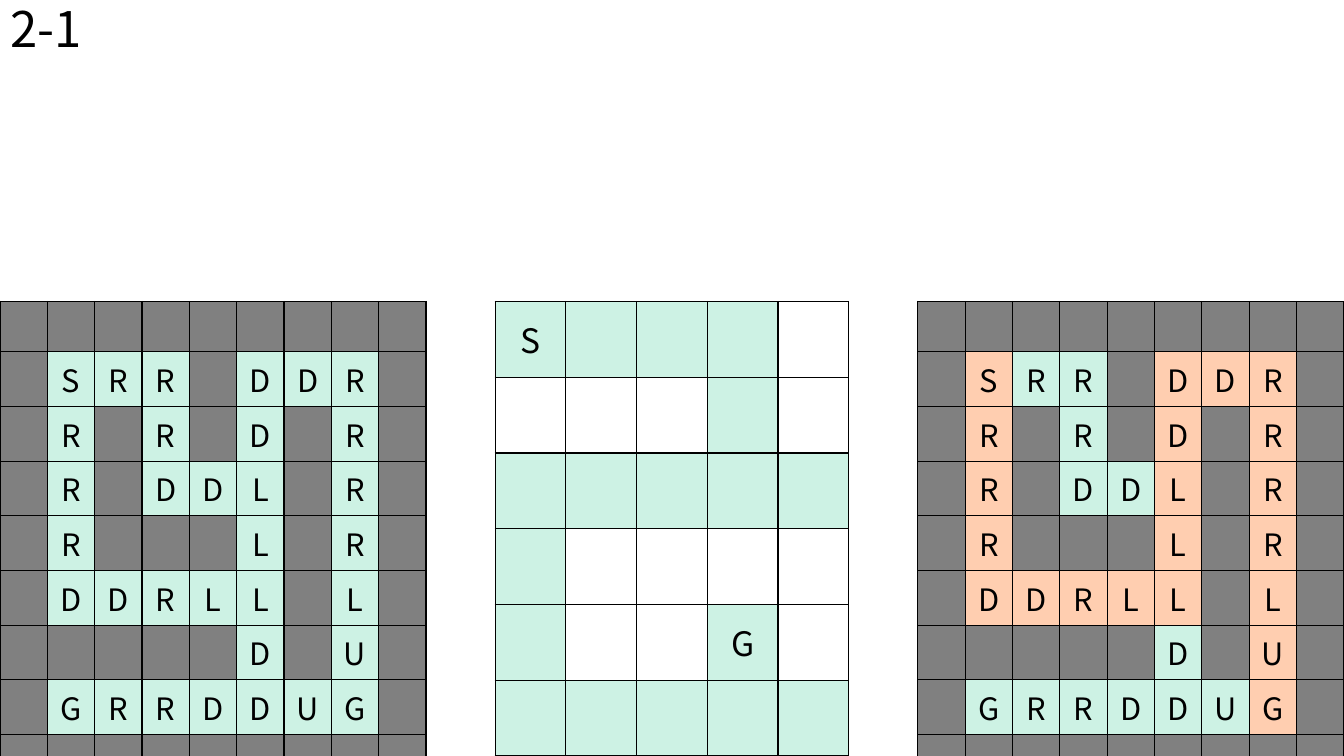
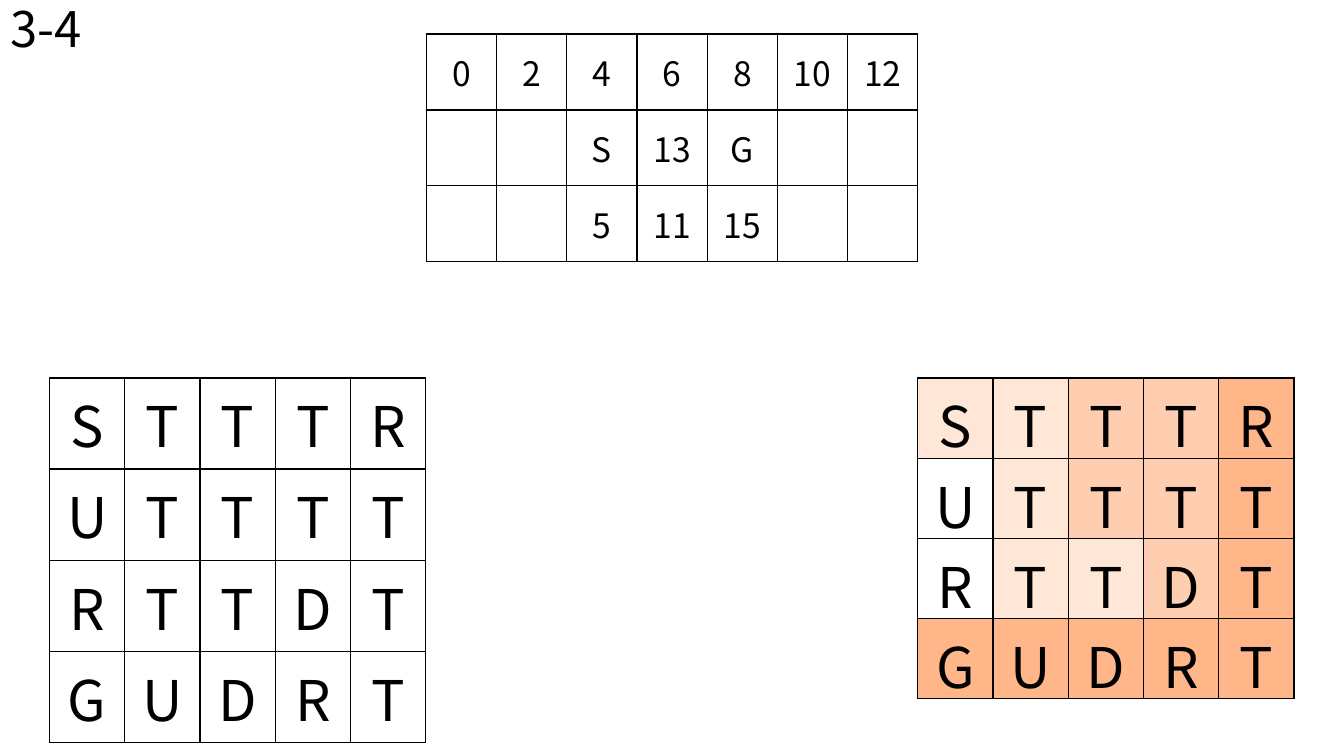
from dataclasses import dataclass, field

from pptx import Presentation
from pptx.dml.color import RGBColor
from pptx.enum import text
from pptx.oxml import parse_xml
from pptx.oxml.ns import nsdecls
from pptx.util import Pt


@dataclass
class Theme:
    font: str = "Noto Sans CJK KR"
    ink: str = "000000"
    title_size: int = 35
    maze_size: int = 22
    map_size: int = 24
    board_size: int = 40
    border: int = 1
    tones: dict = field(default_factory=lambda: {
        "#": "808080", "m": "CDF2E4", "w": "FFFFFF",
        "1": "FFE7D8", "2": "FFCEB0", "3": "FFB689"})


THEME = Theme()
MIDDLE = text.MSO_ANCHOR.MIDDLE
TOP = text.MSO_ANCHOR.TOP
RIGHT_TABLE = 655.6

MAZE = [
    ". . . . . . . . .",
    ". S R R . D D R .",
    ". R . R . D . R .",
    ". R . D D L . R .",
    ". R . . . L . R .",
    ". D D R L L . L .",
    ". . . . . D . U .",
    ". G R R D D U G .",
    ". . . . . . . . .",
]
MAZE_TONES = ["".join("#" if mark == "." else "m" for mark in row.split())
              for row in MAZE]
ROUTE_TONES = [
    "#########",
    "#2mm#222#",
    "#2#m#2#2#",
    "#2#mm2#2#",
    "#2###2#2#",
    "#22222#2#",
    "#####m#2#",
    "#mmmmmm2#",
    "#########",
]
MAP = [
    "S . . . .",
    ". . . . .",
    ". . . . .",
    ". . . . .",
    ". . . G .",
    ". . . . .",
]
MAP_TONES = ["mmmmw", "wwwmw", "mmmmm", "mwwww", "mwwmw", "mmmmm"]
STEPS = [
    "0 2 4 6 8 10 12",
    ". . S 13 G . .",
    ". . 5 11 15 . .",
]
BOARD = ["S T T T R", "U T T T T", "R T T D T", "G U D R T"]
BOARD_TONES = ["11223", "-1223", "-1123", "33333"]

MAZE_STYLE = dict(top=215.3, width=304.4, height=324.7,
                  size=THEME.maze_size, anchor=TOP)
BOARD_STYLE = dict(top=270, width=268.8, height=229,
                   size=THEME.board_size, anchor=TOP)
MAP_STYLE = dict(size=THEME.map_size, anchor=MIDDLE)

PAGES = [
    ("2-1", [
        dict(rows=MAP, tones=MAP_TONES, left=353.7, top=215.3,
             width=252.6, height=324.7, **MAP_STYLE),
        dict(rows=MAZE, tones=MAZE_TONES, left=0, **MAZE_STYLE),
        dict(rows=MAZE, tones=ROUTE_TONES, left=RIGHT_TABLE, **MAZE_STYLE),
    ]),
    ("3-4", [
        dict(rows=STEPS, left=304.6, top=24.3,
             width=351.2, height=162.7, **MAP_STYLE),
        dict(rows=BOARD, left=35.4, **BOARD_STYLE),
        dict(rows=BOARD, tones=BOARD_TONES, left=RIGHT_TABLE,
             bottom_margin=-4.5, **BOARD_STYLE),
    ]),
]


def style_text(para, size, align):
    para.alignment = align
    for span in para.runs:
        span.font.name = THEME.font
        span.font.size = Pt(size)
        span.font.bold = False
        span.font.color.rgb = RGBColor.from_string(THEME.ink)


def add_borders(cell):
    properties = cell._tc.get_or_add_tcPr()
    for side in "LRTB":
        properties.append(parse_xml(
            f'<a:ln{side} {nsdecls("a")} w="{Pt(THEME.border)}"><a:solidFill>'
            f'<a:srgbClr val="{THEME.ink}"/></a:solidFill></a:ln{side}>'))


def add_grid(page, rows, left, top, width, height, size, anchor,
             tones=None, bottom_margin=3.6):
    marks = [row.split() for row in rows]
    row_count, column_count = len(marks), len(marks[0])
    table = page.shapes.add_table(row_count, column_count, Pt(left), Pt(top),
                                  Pt(width), Pt(height)).table
    table.first_row = table.horz_banding = False
    for column in table.columns:
        column.width = Pt(width / column_count)
    for row in table.rows:
        row.height = Pt(height / row_count)
    for r, line in enumerate(marks):
        for c, mark in enumerate(line):
            cell = table.cell(r, c)
            cell.vertical_anchor = anchor
            cell.margin_bottom = Pt(bottom_margin)
            add_borders(cell)
            tone = THEME.tones.get(tones[r][c]) if tones else None
            if tone:
                cell.fill.solid()
                cell.fill.fore_color.rgb = RGBColor.from_string(tone)
            else:
                cell.fill.background()
            if mark != ".":
                cell.text_frame.text = mark
                style_text(cell.text_frame.paragraphs[0], size,
                           text.PP_ALIGN.CENTER)


def add_title(page, wording):
    title = page.shapes.title
    title.left, title.top, title.width, title.height = (
        Pt(0), Pt(0), Pt(70.6), Pt(49))
    frame = title.text_frame
    frame.text = wording
    frame.word_wrap = True
    frame.auto_size = text.MSO_AUTO_SIZE.NONE
    frame.vertical_anchor = TOP
    para = frame.paragraphs[0]
    para.line_spacing = 0.9
    style_text(para, THEME.title_size, text.PP_ALIGN.LEFT)


def main():
    deck = Presentation()
    deck.slide_width, deck.slide_height = Pt(960), Pt(540)
    for wording, grids in PAGES:
        page = deck.slides.add_slide(deck.slide_layouts[5])
        add_title(page, wording)
        for grid in grids:
            add_grid(page, **grid)
    deck.save("out.pptx")


if __name__ == "__main__":
    main()
